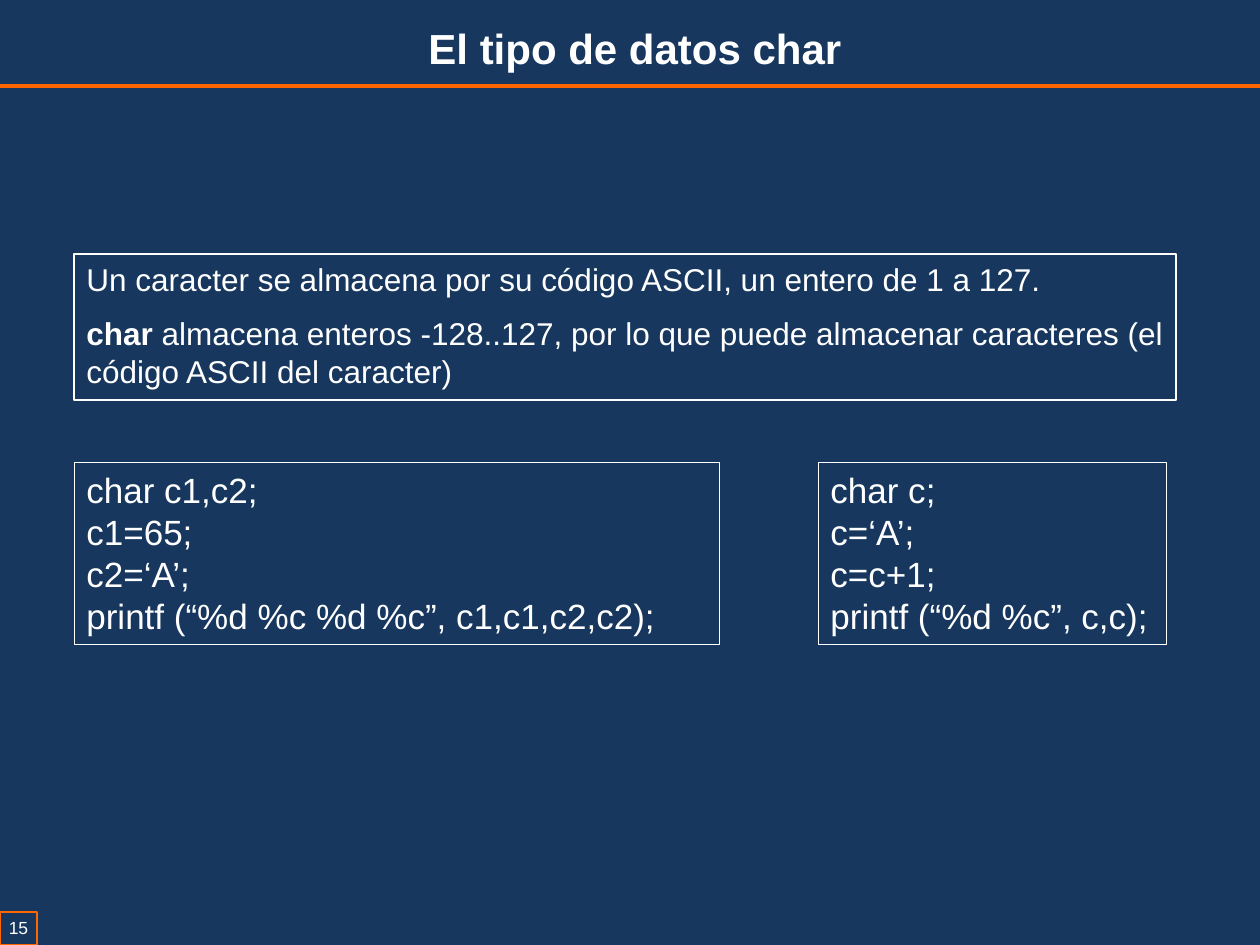
import pptx
import pptx.dml.color
import pptx.enum.shapes
import pptx.enum.text
import pptx.oxml
import pptx.oxml.ns
import pptx.util

EMU_PER_PX = 914400 // 126
WHITE = "FFFFFF"
ORANGE = "FF6600"
NAVY = "17375E"
LEFT_MARGIN = 74
CODE_TOP, CODE_HEIGHT = 462, 182


def px(length):
    return pptx.util.Emu(length * EMU_PER_PX)


def color(hex_string):
    return pptx.dml.color.RGBColor.from_string(hex_string)


def style_paragraph(paragraph, size, alignment=pptx.enum.text.PP_ALIGN.LEFT):
    paragraph.alignment = alignment
    paragraph.font.name = "Arial"
    paragraph.font.size = pptx.util.Pt(size)
    paragraph.font.color.rgb = color(WHITE)


def add_title(slide, text):
    title = slide.shapes.title
    title.left, title.top, title.width, title.height = px(164), px(16), px(942), px(63)
    title.text = text
    frame = title.text_frame
    frame.vertical_anchor = pptx.enum.text.MSO_ANCHOR.TOP
    frame.auto_size = pptx.enum.text.MSO_AUTO_SIZE.SHAPE_TO_FIT_TEXT
    paragraph = frame.paragraphs[0]
    style_paragraph(paragraph, 24, pptx.enum.text.PP_ALIGN.CENTER)
    paragraph.font.bold = True


def add_rule(slide, y, width):
    rule = slide.shapes.add_connector(
        pptx.enum.shapes.MSO_CONNECTOR.STRAIGHT, 0, px(y), px(width), px(y))
    rule.line.color.rgb = color(ORANGE)
    rule.line.width = pptx.util.Pt(2)
    rule._element.spPr.append(pptx.oxml.parse_xml(
        f"<a:effectLst {pptx.oxml.ns.nsdecls('a')}/>"))


def add_box(slide, bounds, paragraphs, size, line_color=WHITE, line_width=0.75):
    """Add an outlined box; each paragraph is a list of (text, bold) runs."""
    box = slide.shapes.add_shape(
        pptx.enum.shapes.MSO_SHAPE.RECTANGLE, *map(px, bounds))
    box.shadow.inherit = False
    box.fill.background()
    box.line.color.rgb = color(line_color)
    box.line.width = pptx.util.Pt(line_width)
    frame = box.text_frame
    frame.word_wrap = True
    frame.auto_size = pptx.enum.text.MSO_AUTO_SIZE.SHAPE_TO_FIT_TEXT
    frame.vertical_anchor = pptx.enum.text.MSO_ANCHOR.TOP
    for index, runs in enumerate(paragraphs):
        paragraph = frame.add_paragraph() if index else frame.paragraphs[0]
        style_paragraph(paragraph, size)
        for text, bold in runs:
            run = paragraph.add_run()
            run.text = text
            if bold:
                run.font.bold = True
    return box


def add_explanation(slide):
    box = add_box(slide, (LEFT_MARGIN, 254, 1102, 146), [
        [("Un caracter se almacena por su código ASCII, un entero de 1 a 127.", False)],
        [("char", True),
         (" almacena enteros -128..127, por lo que puede almacenar caracteres "
          "(el código ASCII del caracter)", False)],
    ], 18)
    for paragraph in box.text_frame.paragraphs:
        paragraph.space_after = pptx.util.Pt(9)


def add_code(slide, left, width, lines):
    add_box(slide, (left, CODE_TOP, width, CODE_HEIGHT),
            [[(line, False)] for line in lines], 20, line_width=0.25)


def add_slide_number(slide, number):
    box = add_box(slide, (0, 912, 37, 33), [[(number, False)]], 10, ORANGE)
    frame = box.text_frame
    frame.word_wrap = False
    frame.margin_left = frame.margin_right = pptx.util.Inches(0.02)
    frame.margin_top = frame.margin_bottom = pptx.util.Inches(0.04)
    frame.paragraphs[0].alignment = pptx.enum.text.PP_ALIGN.CENTER


def main():
    presentation = pptx.Presentation()
    presentation.slide_width = pptx.util.Inches(10)
    presentation.slide_height = pptx.util.Inches(7.5)
    slide = presentation.slides.add_slide(presentation.slide_layouts.get_by_name("Title Only"))
    slide.background.fill.solid()
    slide.background.fill.fore_color.rgb = color(NAVY)

    add_rule(slide, 86, 1260)
    add_slide_number(slide, "15")
    add_title(slide, "El tipo de datos char")
    add_explanation(slide)
    add_code(slide, LEFT_MARGIN, 645, [
        "char c1,c2;", "c1=65;", "c2=‘A’;", "printf (“%d %c %d %c”, c1,c1,c2,c2);"])
    add_code(slide, 818, 348, [
        "char c;", "c=‘A’;", "c=c+1;", "printf (“%d %c”, c,c);"])
    presentation.save("out.pptx")


if __name__ == "__main__":
    main()
